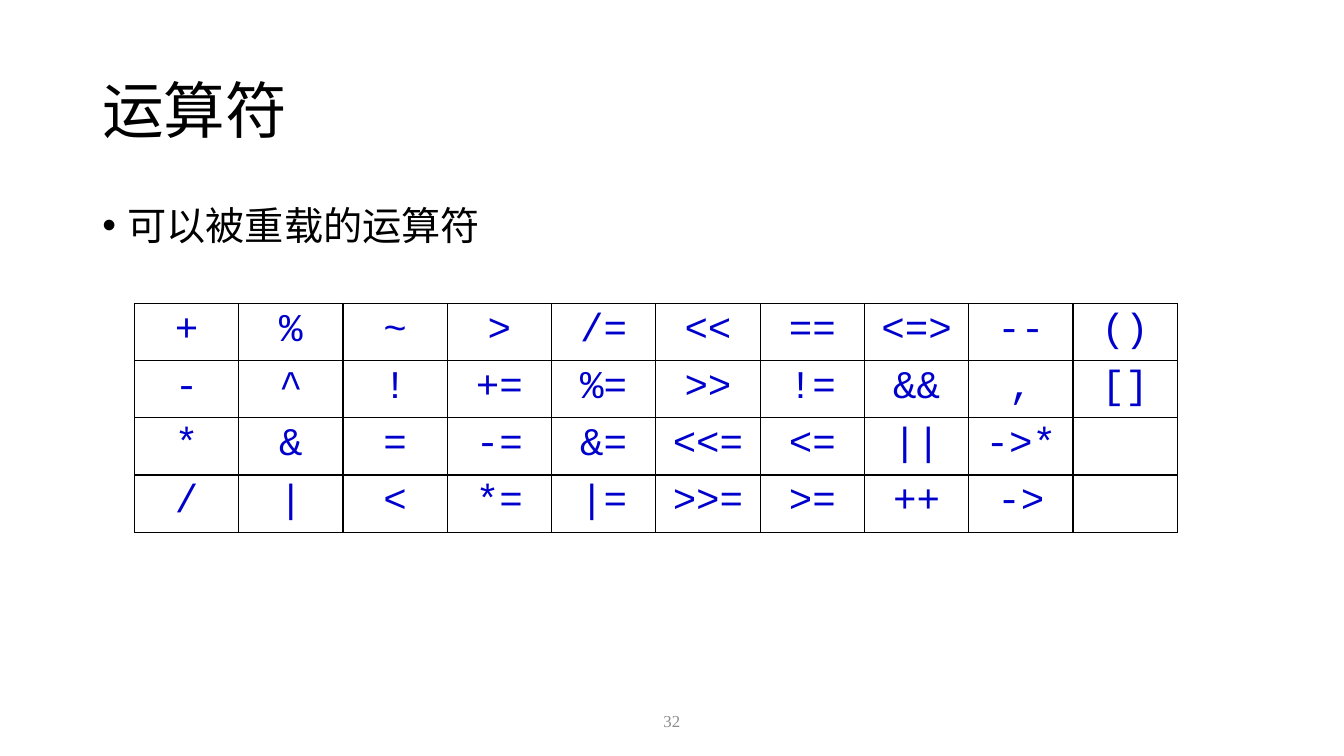
from dataclasses import dataclass

from lxml.etree import SubElement
from pptx import Presentation
from pptx.dml.color import RGBColor
from pptx.enum.text import MSO_ANCHOR, PP_ALIGN
from pptx.oxml.ns import qn
from pptx.slide import Slide
from pptx.table import _Cell
from pptx.text.text import _Paragraph
from pptx.util import Pt

COLORS = {"text": "000000", "code": "0000CC", "page": "8C8C8C", "grid": "000000"}
SERIF, MONO = "Times New Roman", "Courier New"
SIGNS = [
    "+ % ~ > /= << == <=> -- ()",
    "- ^ ! += %= >> != && , []",
    "* & = -= &= <<= <= || ->*",
    "/ | < *= |= >>= >= ++ ->",
]
COLS = 10
WIDTH, HEIGHT = 74.5, 38.9


@dataclass
class Label:
    """A text box holding one line of text."""

    text: str
    box: tuple[float, float, float, float]
    size: float
    color: str = "text"
    anchor: MSO_ANCHOR = MSO_ANCHOR.MIDDLE
    align: PP_ALIGN = PP_ALIGN.LEFT
    spacing: float = 0.9
    bullet: bool = False


LABELS = [
    Label("运算符", (66, 29, 828, 104.4), 44),
    Label("可以被重载的运算符", (66, 144, 828, 342.7), 28,
          anchor=MSO_ANCHOR.TOP, bullet=True),
    Label("32", (450.7, 500.4, 58.3, 28.8), 12, "page",
          align=PP_ALIGN.CENTER, spacing=1.0),
]


def write(para: _Paragraph, text: str, font: str, size: float, color: str) -> None:
    """Add one styled run to a paragraph."""
    run = para.add_run()
    run.text = text
    run.font.name = font
    run.font.size = Pt(size)
    run.font.color.rgb = RGBColor.from_string(COLORS[color])


def add_dot(para: _Paragraph) -> None:
    """Give a paragraph a round bullet with a hanging indent."""
    props = para._p.get_or_add_pPr()
    props.set("marL", str(Pt(18)))
    props.set("indent", str(Pt(-18)))
    SubElement(props, qn("a:buFont"), typeface="Arial")
    SubElement(props, qn("a:buChar"), char="•")


def add_label(slide: Slide, label: Label) -> None:
    """Draw a label as a text box."""
    frame = slide.shapes.add_textbox(*map(Pt, label.box)).text_frame
    frame.word_wrap = True
    frame.vertical_anchor = label.anchor
    para = frame.paragraphs[0]
    if label.bullet:
        add_dot(para)
    para.alignment = label.align
    para.line_spacing = label.spacing
    write(para, label.text, SERIF, label.size, label.color)


def frame_cell(cell: _Cell) -> None:
    """Line a cell on all four sides and leave it unfilled."""
    props = cell._tc.get_or_add_tcPr()
    for side in ("lnL", "lnR", "lnT", "lnB"):
        line = SubElement(props, qn(f"a:{side}"), w=str(Pt(1)))
        fill = SubElement(line, qn("a:solidFill"))
        SubElement(fill, qn("a:srgbClr"), val=COLORS["grid"])
    cell.fill.background()


def add_grid(slide: Slide) -> None:
    """Draw the table of operators."""
    rows = len(SIGNS)
    table = slide.shapes.add_table(
        rows, COLS, Pt(96), Pt(216.7), Pt(WIDTH * COLS), Pt(HEIGHT * rows)
    ).table
    table.first_row = table.horz_banding = False
    for col in table.columns:
        col.width = Pt(WIDTH)
    for row in table.rows:
        row.height = Pt(HEIGHT)
    for cell in table.iter_cells():
        frame_cell(cell)
    for row, line in enumerate(SIGNS):
        for col, sign in enumerate(line.split()):
            para = table.cell(row, col).text_frame.paragraphs[0]
            para.alignment = PP_ALIGN.CENTER
            write(para, sign, MONO, 28, "code")


def main() -> None:
    """Build the slide and save it."""
    deck = Presentation()
    deck.slide_width, deck.slide_height = Pt(960), Pt(540)
    slide = deck.slides.add_slide(deck.slide_layouts[6])
    for label in LABELS:
        add_label(slide, label)
    add_grid(slide)
    deck.save("out.pptx")


if __name__ == "__main__":
    main()
